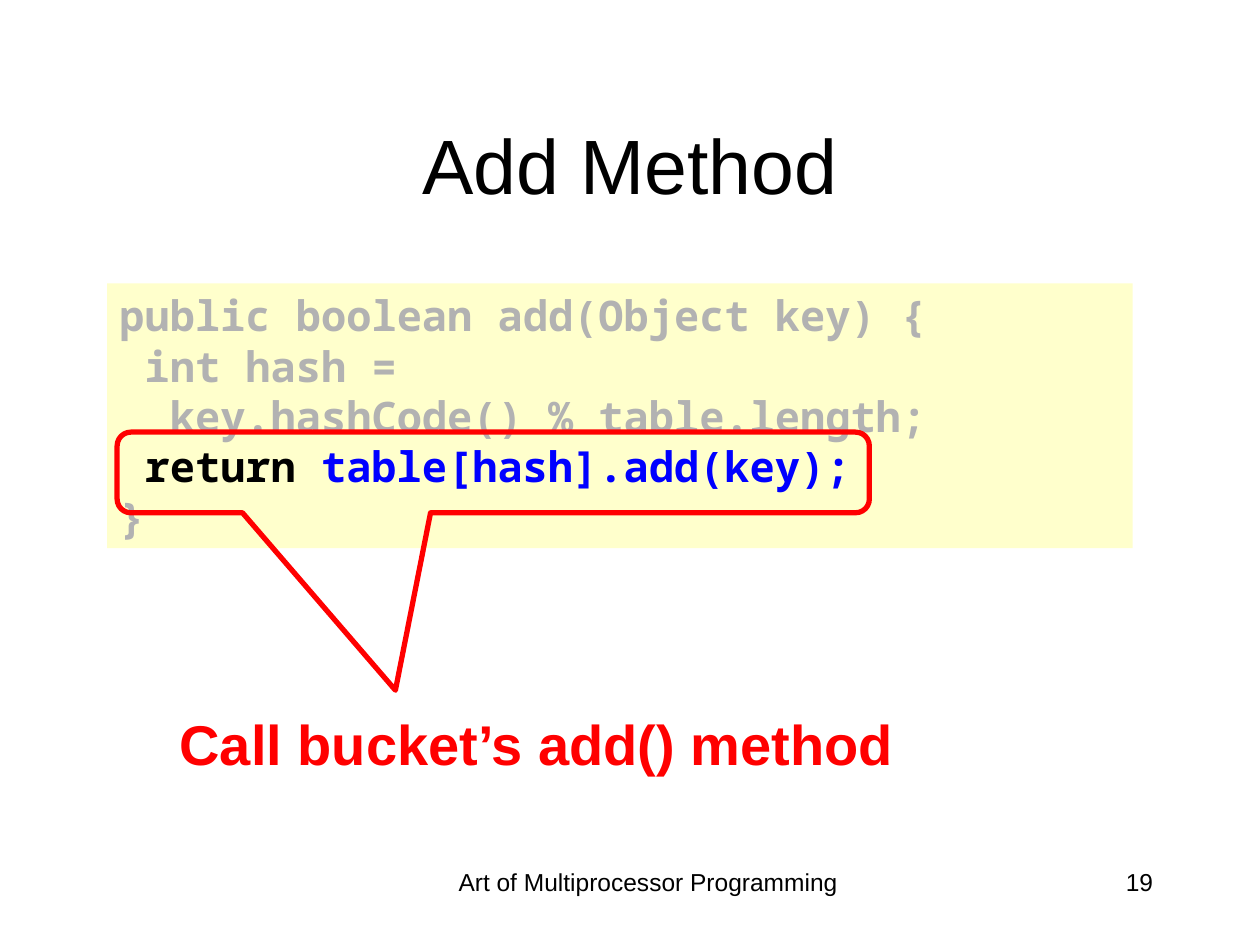
from dataclasses import dataclass

from pptx import Presentation
from pptx import util as u
from pptx.dml.color import RGBColor
from pptx.enum import shapes, text


@dataclass(frozen=True)
class Theme:
    """Colours, fonts and type sizes of the slide."""
    ink: str = "000000"
    dim: str = "B2B2B2"
    blue: str = "0000FF"
    red: str = "FF0000"
    pale: str = "FFFFCC"
    sans: str = "Arial"
    mono: str = "Noto Sans Mono"
    head: int = 44
    note: int = 32
    code: int = 24
    foot: int = 14
    line: int = 3


class Deck:
    """Draws elements on a slide with a grid of 100 columns and 75 rows."""

    def __init__(self, theme):
        """Open a deck with one blank slide."""
        self.theme = theme
        self.prs = Presentation()
        self.prs.slide_width, self.prs.slide_height = u.Inches(10), u.Inches(7.5)
        self.slide = self.prs.slides.add_slide(self.prs.slide_layouts[6])

    def place(self, *cells):
        """Turn grid cells into lengths."""
        col, row = self.prs.slide_width / 100, self.prs.slide_height / 75
        return [round(n * size) for n, size in zip(cells, (col, row, col, row))]

    def typeset(self, frame, lines, size, font, bold=False, align="LEFT", anchor="TOP"):
        """Fill a frame with lines of (words, colour) runs."""
        frame.word_wrap = True
        frame.vertical_anchor = getattr(text.MSO_ANCHOR, anchor)
        form = {"size": u.Pt(size), "name": font, "bold": bold}
        for num, line in enumerate(lines):
            para = frame.add_paragraph() if num else frame.paragraphs[0]
            para.alignment = getattr(text.PP_ALIGN, align)
            for words, color in line:
                run = para.add_run()
                run.text = words
                run.font.color.rgb = RGBColor.from_string(color)
                for key, value in form.items():
                    setattr(run.font, key, value)

    def label(self, cells, words, color, size, **style):
        """Add a one-line text box."""
        box = self.slide.shapes.add_textbox(*self.place(*cells))
        self.typeset(box.text_frame, [[(words, color)]], size, self.theme.sans, **style)

    def panel(self, cells, lines):
        """Add a filled code panel."""
        box = self.slide.shapes.add_shape(shapes.MSO_SHAPE.RECTANGLE, *self.place(*cells))
        box.shadow.inherit = False
        box.fill.solid()
        box.fill.fore_color.rgb = RGBColor.from_string(self.theme.pale)
        box.line.fill.background()
        self.typeset(box.text_frame, lines, self.theme.code, self.theme.mono, bold=True)

    def callout(self, cells, tip):
        """Add an outlined callout with its tip and corner shares."""
        kind = shapes.MSO_SHAPE.ROUNDED_RECTANGULAR_CALLOUT
        box = self.slide.shapes.add_shape(kind, *self.place(*cells))
        box.shadow.inherit = False
        box.fill.background()
        box.line.color.rgb = RGBColor.from_string(self.theme.red)
        box.line.width = u.Pt(self.theme.line)
        for num, share in enumerate(tip):
            box.adjustments[num] = share


def main():
    """Build the slide and save it."""
    look = Theme()
    deck = Deck(look)
    deck.label((34.2, 68.3, 34.5, 5), "Art of Multiprocessor Programming",
               look.ink, look.foot, align="CENTER")
    deck.label((71.7, 68.3, 20.8, 5), "19", look.ink, look.foot, align="RIGHT")
    deck.label((7.5, 6.7, 85, 12.5), "Add Method", look.ink, look.head,
               align="CENTER", anchor="MIDDLE")
    deck.panel((8.5, 22.5, 81.4, 21), [
        [("public boolean add(Object key) {", look.dim)],
        [(" int hash =", look.dim)],
        [("  key.hashCode() % table.length;", look.dim)],
        [(" ", look.blue), ("return", look.ink), (" table[hash].add(key);", look.blue)],
        [("}", look.dim)],
    ])
    deck.callout((9.3, 34.3, 59.7, 6.4), (-0.13, 2.7, 0.17))
    deck.label((7.9, 55.8, 69.4, 6.4), "Call bucket’s add() method",
               look.red, look.note, bold=True, align="CENTER")
    deck.prs.save("out.pptx")


if __name__ == "__main__":
    main()
